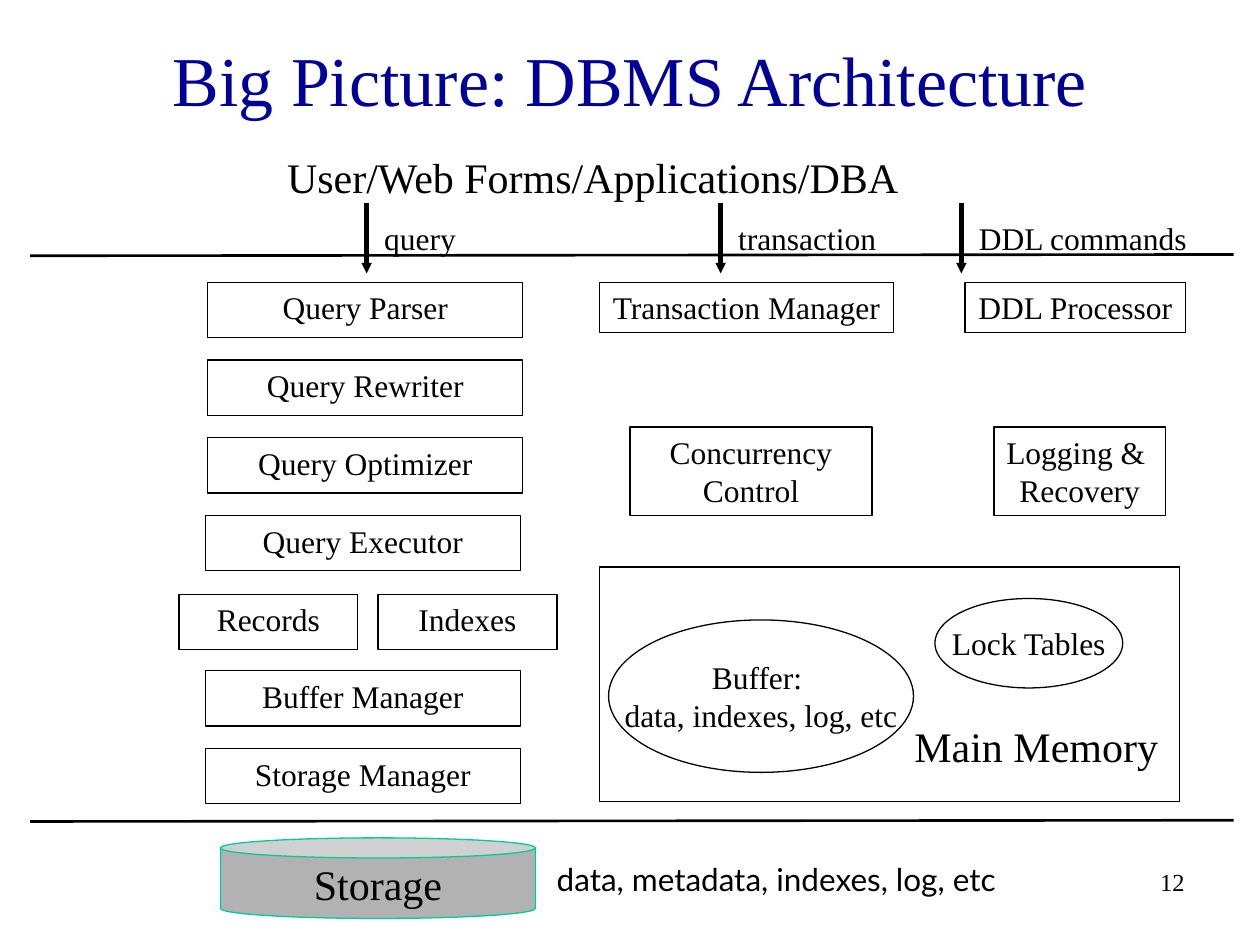
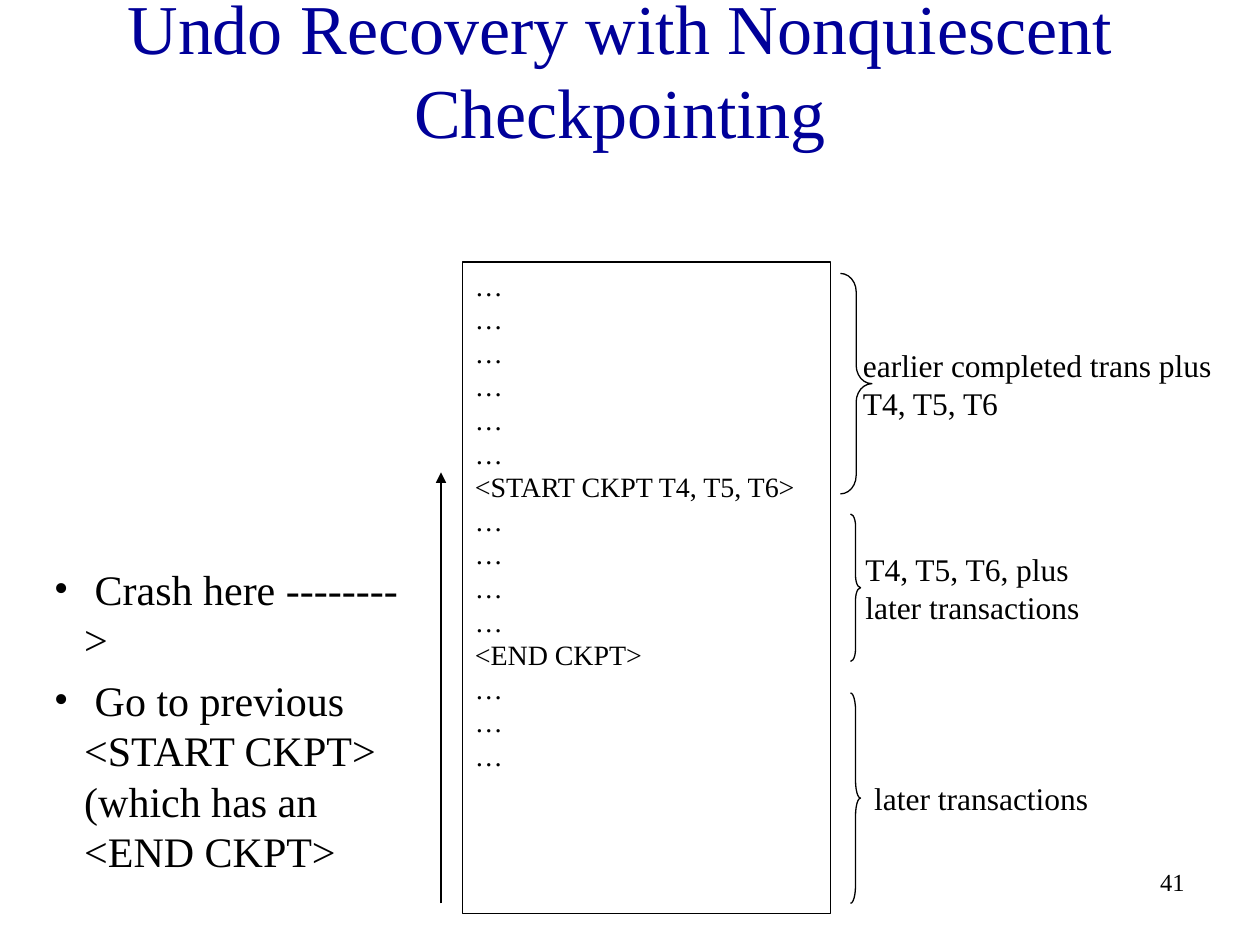
from dataclasses import dataclass

import pptx
import pptx.util
import pptx.dml.color
import pptx.enum.shapes
import pptx.enum.text
import pptx.oxml
import pptx.oxml.ns
import lxml.etree

Inches = pptx.util.Inches
Pt = pptx.util.Pt
SHAPES = pptx.enum.shapes.MSO_SHAPE
ALIGN = pptx.enum.text.PP_ALIGN
ANCHOR = pptx.enum.text.MSO_ANCHOR


@dataclass(frozen=True)
class Theme:
    font: str = "Times New Roman"
    storage_font: str = "Lato"
    title: str = "000099"
    ink: str = "000000"
    storage_fill: str = "B2B2B2"
    storage_line: str = "00CC99"
    title_size: int = 40
    large: int = 24
    label: int = 18
    log: int = 16
    page: int = 14
    outline: float = 0.75
    boundary: float = 1.5
    request: float = 3


THEME = Theme()


def rgb(color):
    return pptx.dml.color.RGBColor.from_string(color)


def child(parent, tag, **attributes):
    return lxml.etree.SubElement(parent, pptx.oxml.ns.qn(tag), **attributes)


def write(frame, lines, size=THEME.label, align=ALIGN.LEFT, anchor=ANCHOR.TOP,
          wrap=False, color=THEME.ink, font=THEME.font, bullet_indent=None):
    frame.word_wrap = wrap
    frame.vertical_anchor = anchor
    for index, line in enumerate(lines):
        paragraph = frame.add_paragraph() if index else frame.paragraphs[0]
        paragraph.alignment = align
        if bullet_indent:
            properties = paragraph._p.get_or_add_pPr()
            properties.set("marL", str(Inches(bullet_indent)))
            properties.set("indent", str(-Inches(bullet_indent)))
            if index:
                paragraph.space_before = Pt(6)
            child(properties, "a:buFont", typeface=font)
            child(properties, "a:buChar", char="•")
        run = paragraph.add_run()
        run.text = line
        run.font.name = font
        run.font.size = Pt(size)
        run.font.color.rgb = rgb(color)


def add_text(slide, box, lines, **style):
    area = slide.shapes.add_textbox(*map(Inches, box))
    write(area.text_frame, lines, wrap=True, **style)


def add_block(slide, box, lines=(), kind=SHAPES.RECTANGLE, fill=None,
              line=THEME.ink, **style):
    block = slide.shapes.add_shape(kind, *map(Inches, box))
    block.shadow.inherit = False
    if fill:
        block.fill.solid()
        block.fill.fore_color.rgb = rgb(fill)
    else:
        block.fill.background()
    block.line.color.rgb = rgb(line)
    block.line.width = Pt(THEME.outline)
    write(block.text_frame, lines, **{"align": ALIGN.CENTER, **style})
    return block


def add_line(slide, start, end, width, head=None):
    connector = slide.shapes.add_connector(
        pptx.enum.shapes.MSO_CONNECTOR.STRAIGHT, *map(Inches, (*start, *end)))
    connector.line.color.rgb = rgb(THEME.ink)
    connector.line.width = Pt(width)
    if head:
        child(connector.line._get_or_add_ln(), "a:tailEnd",
              type="triangle", w=head, len=head)
    child(connector._element.spPr, "a:effectLst")


def add_slide(deck, title, title_box, page):
    slide = deck.slides.add_slide(deck.slide_layouts[6])
    add_text(slide, title_box, [title], size=THEME.title_size, color=THEME.title,
             align=ALIGN.CENTER, anchor=ANCHOR.MIDDLE)
    add_text(slide, (7.42, 6.83, 2.08, 0.5), [page], size=THEME.page,
             align=ALIGN.RIGHT)
    return slide


def draw_requests(slide, box):
    left, top, width, height = box
    add_text(slide, (left + 1.94, top, 5.2, 0.5),
             ["User/Web Forms/Applications/DBA"], size=THEME.large)
    requests = [("query", 2.67, 0.85), ("transaction", 5.48, 1.4),
                ("DDL commands", 7.39, 1.95)]
    for request, offset, label_width in requests:
        x = left + offset
        add_line(slide, (x, top + 0.46), (x, top + 1.02), THEME.request, head="sm")
        add_text(slide, (x + 0.04, top + 0.54, label_width, 0.4), [request])
    add_line(slide, (left, top + height), (left + width, top + height - 0.01),
             THEME.boundary)


def draw_query_stack(slide, box):
    left, top, width, height = box
    layer_height = 0.44
    pitch = (height - layer_height) / 6
    stack = [(0, 0.23, "Query Parser"), (1, 0.23, "Query Rewriter"),
             (2, 0.23, "Query Optimizer"), (3, 0.21, "Query Executor"),
             (5, 0.21, "Buffer Manager"), (6, 0.21, "Storage Manager")]
    for row, indent, layer in stack:
        add_block(slide, (left + indent, top + row * pitch, 2.5, layer_height), [layer])
    access_width = 1.42
    for x, access in ((left, "Records"), (left + width - access_width, "Indexes")):
        add_block(slide, (x, top + 4 * pitch + 0.01, access_width, layer_height), [access])


def draw_transaction_services(slide, box):
    left, top, width, height = box
    add_block(slide, (left, top, 2.33, 0.4), ["Transaction Manager"])
    add_block(slide, (left + width - 1.75, top, 1.75, 0.4), ["DDL Processor"])
    lower = top + height - 0.7
    add_block(slide, (left + 0.24, lower, 1.92, 0.7), ["Concurrency Control"], wrap=True)
    add_block(slide, (left + 3.13, lower, 1.36, 0.7), ["Logging & ", "Recovery"])


def draw_main_memory(slide, box):
    left, top = box[:2]
    add_block(slide, box)
    add_block(slide, (left + 0.07, top + 0.42, 2.42, 1.21),
              ["Buffer: ", "data, indexes, log, etc"],
              kind=SHAPES.OVAL, anchor=ANCHOR.MIDDLE)
    add_block(slide, (left + 2.66, top + 0.25, 1.49, 0.71), ["Lock Tables"],
              kind=SHAPES.OVAL, anchor=ANCHOR.MIDDLE)
    add_text(slide, (left + 2.35, top + 1.17, 2.23, 0.5), ["Main Memory"],
             size=THEME.large, align=ALIGN.CENTER)


def draw_storage(slide, box):
    left, top, width, height = box
    add_line(slide, (left, top + 0.01), (left + width, top), THEME.boundary)
    add_block(slide, (left + 1.51, top + height - 0.64, 2.5, 0.64), ["Storage"],
              kind=SHAPES.CAN, fill=THEME.storage_fill, line=THEME.storage_line,
              size=THEME.large, anchor=ANCHOR.MIDDLE)
    add_text(slide, (left + 4.08, top + 0.27, 4.1, 0.4),
             ["data, metadata, indexes, log, etc"], font=THEME.storage_font)


def draw_log(slide, box):
    left, top, width, height = box
    gap = ["…"]
    records = gap * 6 + ["<START CKPT T4, T5, T6>"] + gap * 4 + ["<END CKPT>"] + gap * 3
    add_block(slide, box, records, size=THEME.log, align=ALIGN.LEFT, wrap=True)
    scan_x = left - 0.17
    add_line(slide, (scan_x, top + height - 0.08), (scan_x, top + 1.67),
             THEME.outline, head="med")


def draw_log_span(slide, box, label_left, lines):
    left, top, width, height = box
    brace = add_block(slide, box, kind=SHAPES.RIGHT_BRACE)
    brace.adjustments[0] = height / width / 12
    label_height = 0.7
    add_text(slide, (label_left, top + (height - label_height) / 2, 3.1, label_height),
             lines, anchor=ANCHOR.MIDDLE)


def draw_recovery_steps(slide, box):
    add_text(slide, box,
             [" Crash here -------->",
              " Go to previous <START CKPT> (which has an <END CKPT>"],
             size=THEME.large, bullet_indent=0.24)


def build_architecture(deck):
    slide = add_slide(deck, "Big Picture: DBMS Architecture", (0.75, 0, 8.5, 1.25), "12")
    draw_requests(slide, (0.24, 1.15, 9.55, 0.88))
    draw_query_stack(slide, (1.42, 2.24, 3, 4.14))
    draw_transaction_services(slide, (4.76, 2.24, 4.65, 1.85))
    draw_main_memory(slide, (4.76, 4.5, 4.6, 1.86))
    draw_storage(slide, (0.24, 6.51, 9.55, 0.78))


def build_recovery(deck):
    slide = add_slide(deck, "Undo Recovery with Nonquiescent Checkpointing",
                      (0.17, 0.17, 9.5, 0.75), "41")
    draw_log(slide, (3.67, 2.08, 2.92, 5.17))
    spans = [((6.67, 2.17, 0.25, 1.75), 6.75,
              ["earlier completed trans plus", "T4, T5, T6"]),
             ((6.75, 4.08, 0.08, 1.17), 6.77,
              ["T4, T5, T6, plus", "later transactions"]),
             ((6.75, 5.5, 0.08, 1.67), 6.84, ["later transactions"])]
    for box, label_left, lines in spans:
        draw_log_span(slide, box, label_left, lines)
    draw_recovery_steps(slide, (0.33, 4.42, 3.08, 2.19))


def main():
    deck = pptx.Presentation()
    deck.slide_width = Inches(10)
    deck.slide_height = Inches(7.5)
    build_architecture(deck)
    build_recovery(deck)
    deck.save("out.pptx")


if __name__ == "__main__":
    main()
